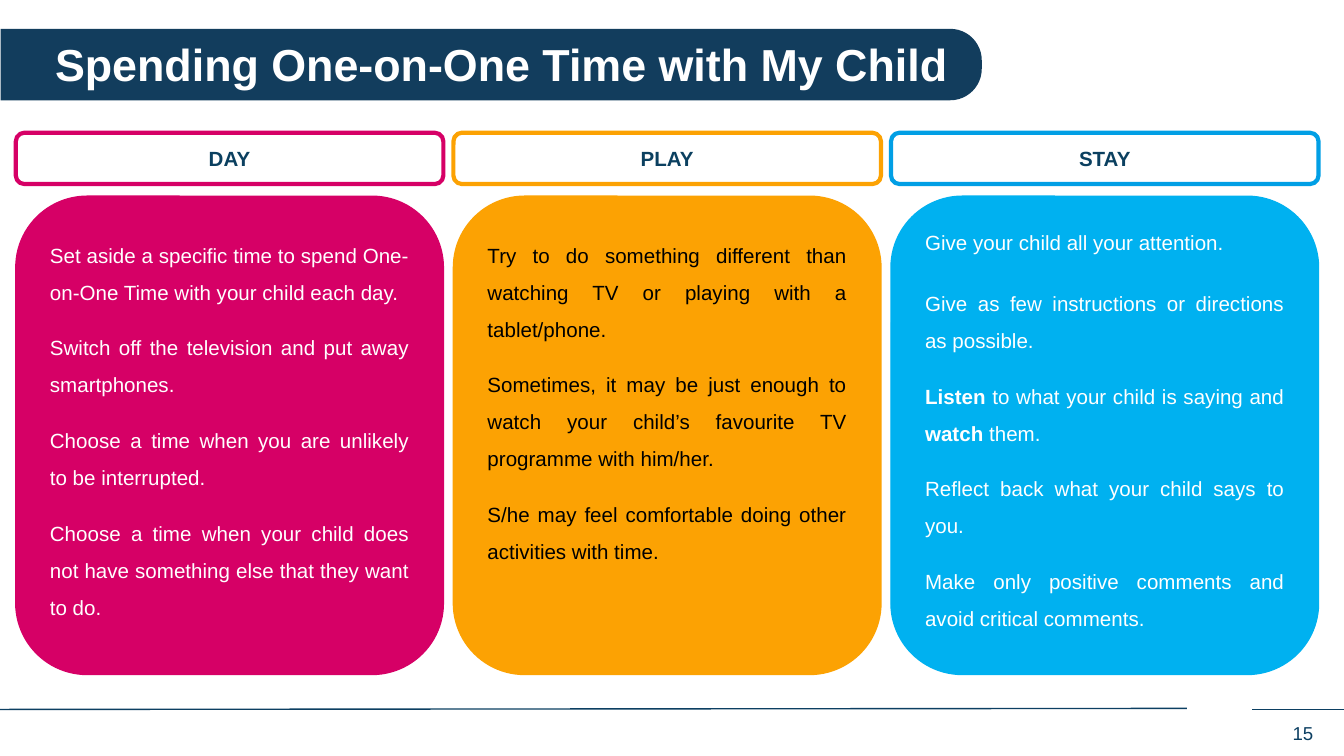
import pptx
import pptx.util
import pptx.dml.color
import pptx.enum.shapes
import pptx.enum.text
import pptx.oxml.ns
import lxml.etree

Cm, Pt = pptx.util.Cm, pptx.util.Pt
Align = pptx.enum.text.PP_ALIGN
Anchor = pptx.enum.text.MSO_ANCHOR
Shape = pptx.enum.shapes.MSO_SHAPE

NAVY, WHITE, BLACK = "0C3F62", "FFFFFF", "000000"
LEFT, WIDE, STEP = 0.3, 8.08, 8.27

# Heading, frame colour, fill, text colour, paragraphs (*bold*)
CARDS = [
    ("DAY", "D60066", "D60066", WHITE, [
        "Set aside a specific time to spend One-on-One Time with your child each day.",
        "Switch off the television and put away smartphones.",
        "Choose a time when you are unlikely to be interrupted.",
        "Choose a time when your child does not have something else that they want to do.",
    ]),
    ("PLAY", "FCA203", "FCA203", BLACK, [
        "Try to do something different than watching TV or playing with a tablet/phone.",
        "Sometimes, it may be just enough to watch your child’s favourite TV programme with him/her.",
        "S/he may feel comfortable doing other activities with time.",
    ]),
    ("STAY", "019FE5", "00B1F0", WHITE, [
        "Give your child all your attention.",
        "Give as few instructions or directions as possible.",
        "*Listen* to what your child is saying and *watch* them.",
        "Reflect back what your child says to you.",
        "Make only positive comments and avoid critical comments.",
    ]),
]


def tint(code):
    return pptx.dml.color.RGBColor.from_string(code)


def write(shape, *texts, size=11, color=NAVY, bold=False, align=Align.LEFT,
          anchor=Anchor.TOP, space=1, gap=0, pad=0.25):
    """Fill a shape with paragraphs; *stars* mark bold words."""
    frame = shape.text_frame
    frame.word_wrap = True
    frame.auto_size = pptx.enum.text.MSO_AUTO_SIZE.NONE
    frame.vertical_anchor = anchor
    frame.margin_left = frame.margin_right = Cm(0.25)
    frame.margin_top = frame.margin_bottom = Cm(pad)
    for row, text in enumerate(texts):
        para = frame.add_paragraph() if row else frame.paragraphs[0]
        para.alignment = align
        para.line_spacing = space
        para.space_before = Pt(gap if row else 0)
        for part, words in enumerate(text.split("*")):
            if words:
                run = para.add_run()
                run.text = words
                run.font.name = "Arial"
                run.font.size = Pt(size)
                run.font.bold = bold or part % 2 == 1
                run.font.color.rgb = tint(color)
    return frame


def block(slide, kind, box, fill, edge=None, width=0.75):
    shape = slide.shapes.add_shape(kind, *map(Cm, box))
    shape.shadow.inherit = False
    shape.fill.solid()
    shape.fill.fore_color.rgb = tint(fill)
    if edge:
        shape.line.color.rgb = tint(edge)
        shape.line.width = Pt(width)
    else:
        shape.line.fill.background()
    return shape


def rule(slide, *ends):
    line = slide.shapes.add_connector(
        pptx.enum.shapes.MSO_CONNECTOR.STRAIGHT, *map(Cm, ends))
    line.line.color.rgb = tint(NAVY)
    line.line.width = Pt(0.75)
    lxml.etree.SubElement(line.element.spPr, pptx.oxml.ns.qn("a:effectLst"))


def banner(slide):
    bar = block(slide, Shape.ROUND_2_SAME_RECTANGLE,
                (8.61, -8.05, 1.35, 18.54), "123D5D")
    bar.rotation = 270
    bar.adjustments[0], bar.adjustments[1] = 0, 0.44
    title = slide.shapes.title
    title.left, title.top, title.width, title.height = map(
        Cm, (0.79, 0.56, 24.61, 1.27))
    write(title, "Spending One-on-One Time with My Child",
          size=24, color=WHITE, bold=True, pad=0.13)
    # The title belongs in front of the bar
    title.element.addprevious(bar.element)


def card(slide, left, head, edge, fill, color, texts):
    body = block(slide, Shape.ROUNDED_RECTANGLE,
                 (left, 3.71, WIDE, 9.04), fill, fill)
    frame = write(body, *texts, color=color, align=Align.JUSTIFY,
                  space=1.5, gap=10)
    label = block(slide, Shape.ROUNDED_RECTANGLE,
                  (left, 2.51, WIDE, 0.97), WHITE, edge, 2.25)
    write(label, head, color="0B4060", bold=True, align=Align.CENTER,
          anchor=Anchor.MIDDLE)
    return frame


def footer(slide):
    rule(slide, 22.43, 13.39, 0, 13.41)
    rule(slide, 25.4, 13.41, 23.67, 13.41)
    page = slide.shapes.add_textbox(*map(Cm, (17.45, 13.51, 7.62, 0.74)))
    write(page, "15", size=10, align=Align.RIGHT, pad=0.13)


def main():
    deck = pptx.Presentation()
    deck.slide_width, deck.slide_height = Cm(25.4), Cm(14.29)
    slide = deck.slides.add_slide(deck.slide_layouts[5])
    footer(slide)
    banner(slide)
    for col, data in enumerate(CARDS):
        frame = card(slide, LEFT + col * STEP, *data)
    # The last card opens with a single-spaced lead line
    lead, after = frame.paragraphs[:2]
    lead.alignment, lead.line_spacing = Align.LEFT, 1
    after.space_before = Pt(12.65)
    deck.save("out.pptx")


if __name__ == "__main__":
    main()
